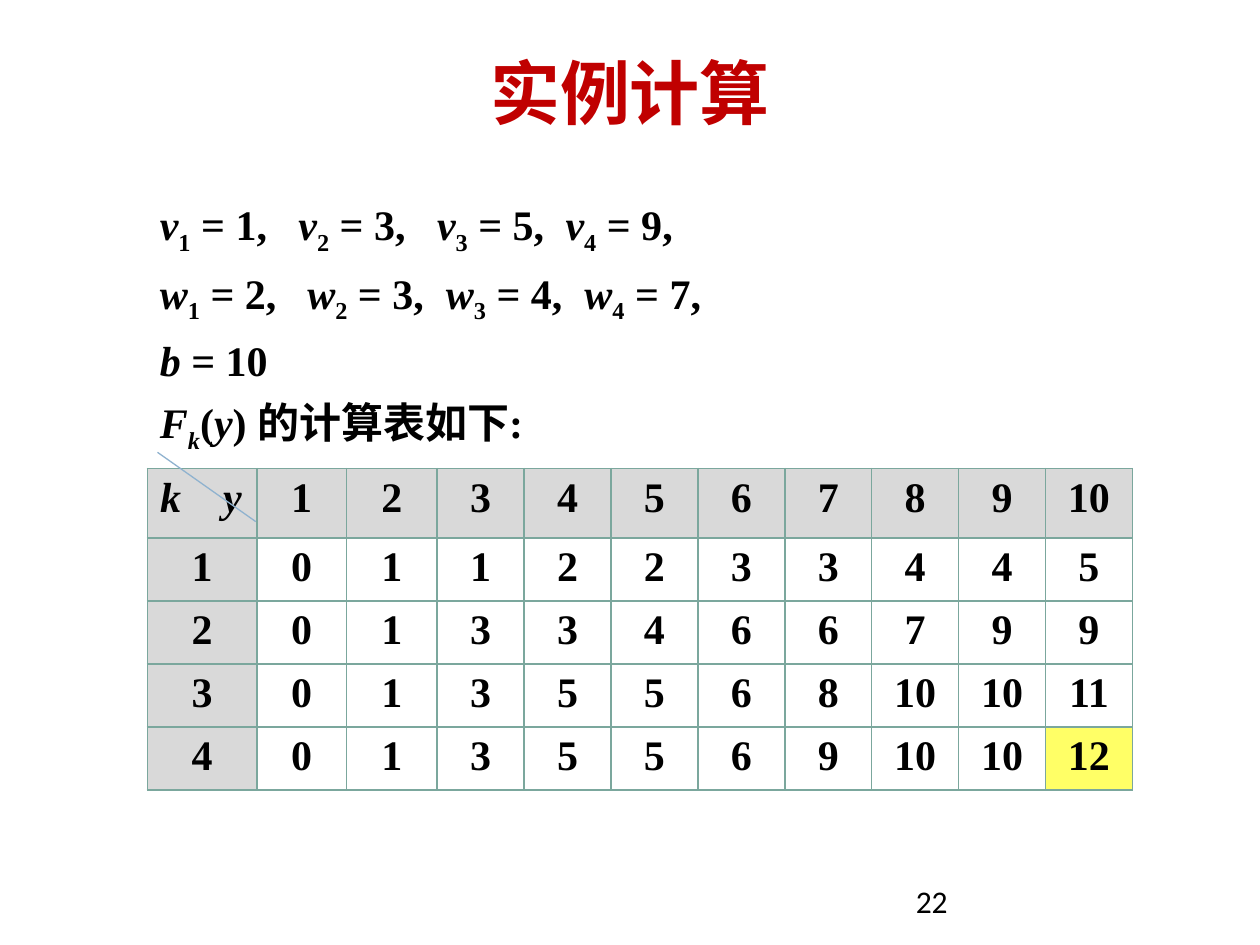
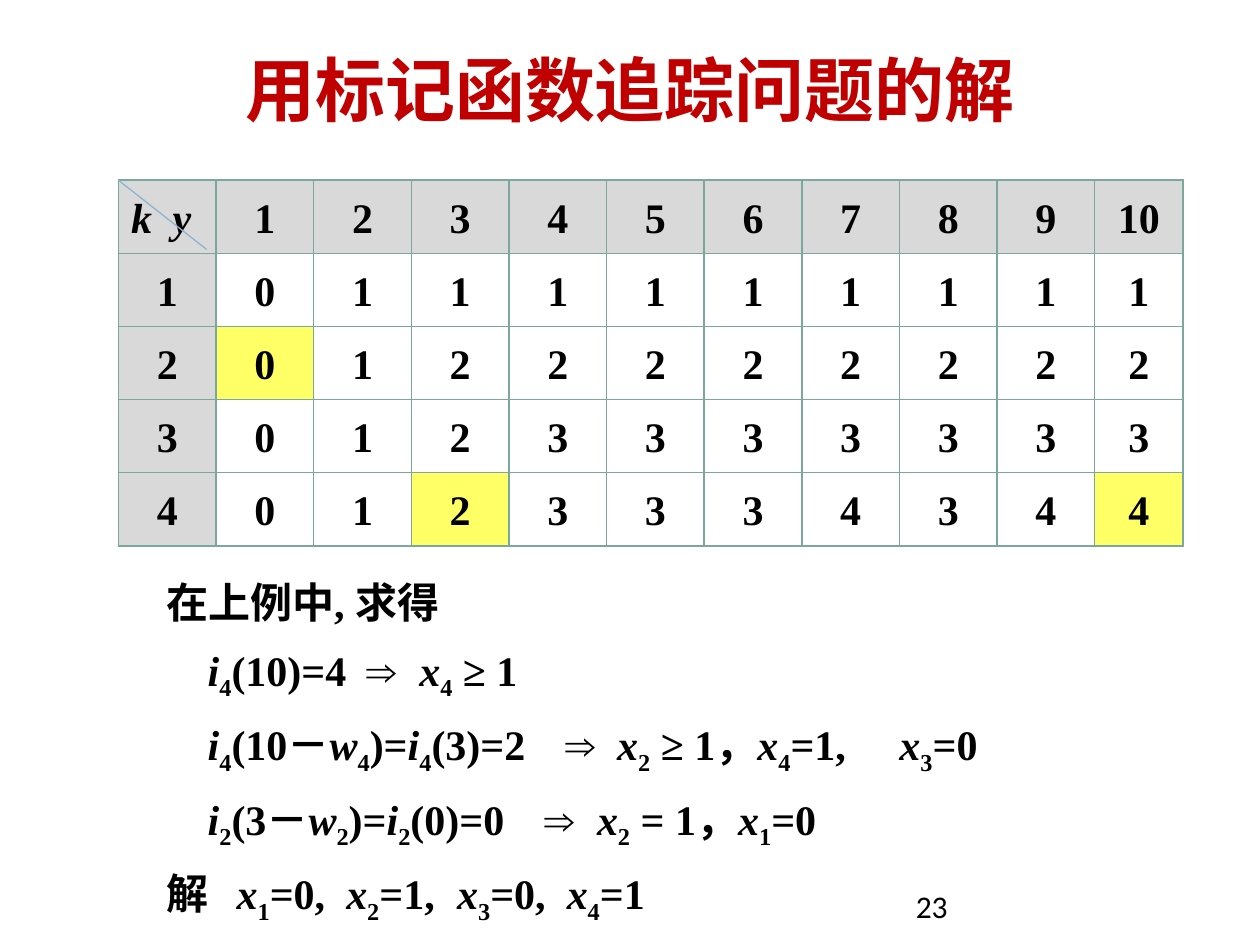
from dataclasses import dataclass

from lxml.etree import SubElement
from pptx import Presentation
from pptx.dml.color import RGBColor
from pptx.enum.shapes import MSO_CONNECTOR as CONN
from pptx.enum.text import MSO_ANCHOR as ANCHOR, PP_ALIGN as ALIGN
from pptx.oxml import parse_xml
from pptx.oxml.ns import nsdecls, qn
from pptx.util import Inches, Pt


@dataclass(frozen=True)
class Theme:
    title: str = "C00000"
    text: str = "000000"
    header: str = "D9D9D9"
    plain: str = "FFFFFF"
    highlight: str = "FFFF66"
    border: str = "7BA79D"
    diagonal: str = "8FB2CF"
    sans: str = "Calibri"
    serif: str = "Times New Roman"
    title_size: int = 40
    body_size: int = 24
    page_size: int = 18


T = Theme()
SUBSCRIPT = "-25000"

# Rows k = 1..4, columns y = 1..10
BEST_VALUES = [
    [0, 1, 1, 2, 2, 3, 3, 4, 4, 5],
    [0, 1, 3, 3, 4, 6, 6, 7, 9, 9],
    [0, 1, 3, 5, 5, 6, 8, 10, 10, 11],
    [0, 1, 3, 5, 5, 6, 9, 10, 10, 12],
]
LAST_ITEMS = [
    [0, 1, 1, 1, 1, 1, 1, 1, 1, 1],
    [0, 1, 2, 2, 2, 2, 2, 2, 2, 2],
    [0, 1, 2, 3, 3, 3, 3, 3, 3, 3],
    [0, 1, 2, 3, 3, 3, 4, 3, 4, 4],
]

# Each line: text, line spacing, tab stops in inches
PROBLEM_LINES = [
    ("v_1 = 1,\tv_2 = 3,\tv_3 = 5,\tv_4 = 9,", 1.5, (1.1, 2.2, 3.22)),
    ("w_1 = 2,\tw_2 = 3,\tw_3 = 4,\tw_4 = 7,", 1.2, (1.17, 2.27, 3.37)),
    ("b = 10", 1.2, ()),
    ("F_k(y) 的计算表如下:", 1.2, ()),
]
TRACE_LINES = [
    ("在上例中, 求得", 1.3, ()),
    ("\ti_4(10)=4\t⇒\tx_4 ≥ 1", 1.3, (0.33, 1.59, 2.01)),
    ("\ti_4(10－w_4)=i_4(3)=2\t⇒\tx_2 ≥ 1，x_4=1,\tx_3=0", 1.3,
     (0.33, 3.17, 3.58, 5.82)),
    ("\ti_2(3－w_2)=i_2(0)=0\t⇒\tx_2 = 1，x_1=0", 1.3, (0.33, 3.0, 3.42)),
    ("解\tx_1=0,\tx_2=1,\tx_3=0,\tx_4=1", 1.3, (0.56, 1.43, 2.31, 3.18)),
]


def rgb(color):
    return RGBColor.from_string(color)


def style_paragraph(p, font, size, color=T.text, bold=False):
    p.font.name = font
    p.font.size = Pt(size)
    p.font.bold = bold
    p.font.color.rgb = rgb(color)


def split_math(text):
    """Return [text, italic, subscript] pieces: Latin letters are italic, "_" lowers the next character."""
    pieces, lowered = [], False
    for char in text:
        if char == "_":
            lowered = True
            continue
        kind = [char.isascii() and char.isalpha(), lowered]
        if pieces and pieces[-1][1:] == kind:
            pieces[-1][0] += char
        else:
            pieces.append([char, *kind])
        lowered = False
    return pieces


def write_math(p, text, spacing=1.0, stops=()):
    if stops:
        tabs = SubElement(p._p.get_or_add_pPr(), qn("a:tabLst"))
        for stop in stops:
            SubElement(tabs, qn("a:tab"), pos=str(Inches(stop)), algn="l")
    p.line_spacing = spacing
    style_paragraph(p, T.serif, T.body_size, bold=True)
    for piece, italic, lowered in split_math(text):
        r = p.add_run()
        r.text = piece
        r.font.italic = italic
        if lowered:
            r.font._element.set("baseline", SUBSCRIPT)


def add_box(slide, left, top, width, height):
    box = slide.shapes.add_textbox(*map(Inches, (left, top, width, height)))
    box.text_frame.word_wrap = True
    return box.text_frame


def add_title(slide, text, top):
    tf = add_box(slide, 0.5, top, 9, 0.69)
    tf.vertical_anchor = ANCHOR.MIDDLE
    p = tf.paragraphs[0]
    p.text = text
    p.alignment = ALIGN.CENTER
    style_paragraph(p, T.sans, T.title_size, T.title, bold=True)


def add_page_number(slide, number, top):
    p = add_box(slide, 7.17, top, 2.33, 0.4).paragraphs[0]
    p.text = str(number)
    style_paragraph(p, T.sans, T.page_size)


def add_math_lines(slide, lines, left, top, width, height):
    tf = add_box(slide, left, top, width, height)
    for i, line in enumerate(lines):
        p = tf.add_paragraph() if i else tf.paragraphs[0]
        write_math(p, *line)


def set_borders(cell):
    tcPr = cell._tc.get_or_add_tcPr()
    for i, side in enumerate("LRTB"):
        tcPr.insert(i, parse_xml(
            f'<a:ln{side} {nsdecls("a")} w="{Pt(1)}"><a:solidFill>'
            f'<a:srgbClr val="{T.border}"/></a:solidFill></a:ln{side}>'))


def add_value_table(slide, values, left, top, widths, heights, corner_stop,
                    spacing, highlights):
    """Draw values under y = 1..10, beside k; highlights holds (k, y) pairs."""
    rows = [["k\ty", *range(1, 11)]]
    rows += [[k, *row] for k, row in enumerate(values, 1)]
    table = slide.shapes.add_table(
        len(rows), len(rows[0]), Inches(left), Inches(top),
        Inches(sum(widths)), Inches(sum(heights))).table
    for column, width in zip(table.columns, widths):
        column.width = Inches(width)
    for k, (row, height) in enumerate(zip(rows, heights)):
        table.rows[k].height = Inches(height)
        for y, value in enumerate(row):
            cell = table.cell(k, y)
            p = cell.text_frame.paragraphs[0]
            is_corner = k == y == 0
            write_math(p, str(value), spacing, (corner_stop,) if is_corner else ())
            p.alignment = ALIGN.LEFT if is_corner else ALIGN.CENTER
            if (k, y) in highlights:
                color = T.highlight
            else:
                color = T.plain if k and y else T.header
            cell.fill.solid()
            cell.fill.fore_color.rgb = rgb(color)
            set_borders(cell)


def add_diagonal(slide, x1, y1, x2, y2):
    line = slide.shapes.add_connector(
        CONN.STRAIGHT, *map(Inches, (x1, y1, x2, y2)))
    line.line.color.rgb = rgb(T.diagonal)
    line.line.width = Pt(0.75)
    SubElement(line._element.spPr, qn("a:effectLst"))


def build_example(slide):
    add_page_number(slide, 22, 6.95)
    add_math_lines(slide, PROBLEM_LINES, 1.17, 1.3, 4.62, 2.14)
    add_value_table(slide, BEST_VALUES, 1.17, 3.72,
                    [0.87, 0.71, 0.72] + [0.69] * 8, [0.55] + [0.5] * 4,
                    corner_stop=0.5, spacing=1.0, highlights={(4, 10)})
    add_title(slide, "实例计算", 0.38)
    add_diagonal(slide, 1.25, 3.59, 2.03, 4.14)


def build_trace(slide):
    add_page_number(slide, 23, 6.99)
    add_math_lines(slide, TRACE_LINES, 1.22, 4.41, 8, 2.73)
    add_value_table(slide, LAST_ITEMS, 0.94, 1.43,
                    [0.775] * 10 + [0.7], [0.58] * 5,
                    corner_stop=0.33, spacing=1.2,
                    highlights={(2, 1), (4, 3), (4, 10)})
    add_title(slide, "用标记函数追踪问题的解", 0.36)
    add_diagonal(slide, 0.94, 1.43, 1.64, 1.98)


def main():
    prs = Presentation()
    prs.slide_width, prs.slide_height = Inches(10), Inches(7.5)
    blank = prs.slide_layouts[6]
    for build in (build_example, build_trace):
        build(prs.slides.add_slide(blank))
    prs.save("out.pptx")


if __name__ == "__main__":
    main()
